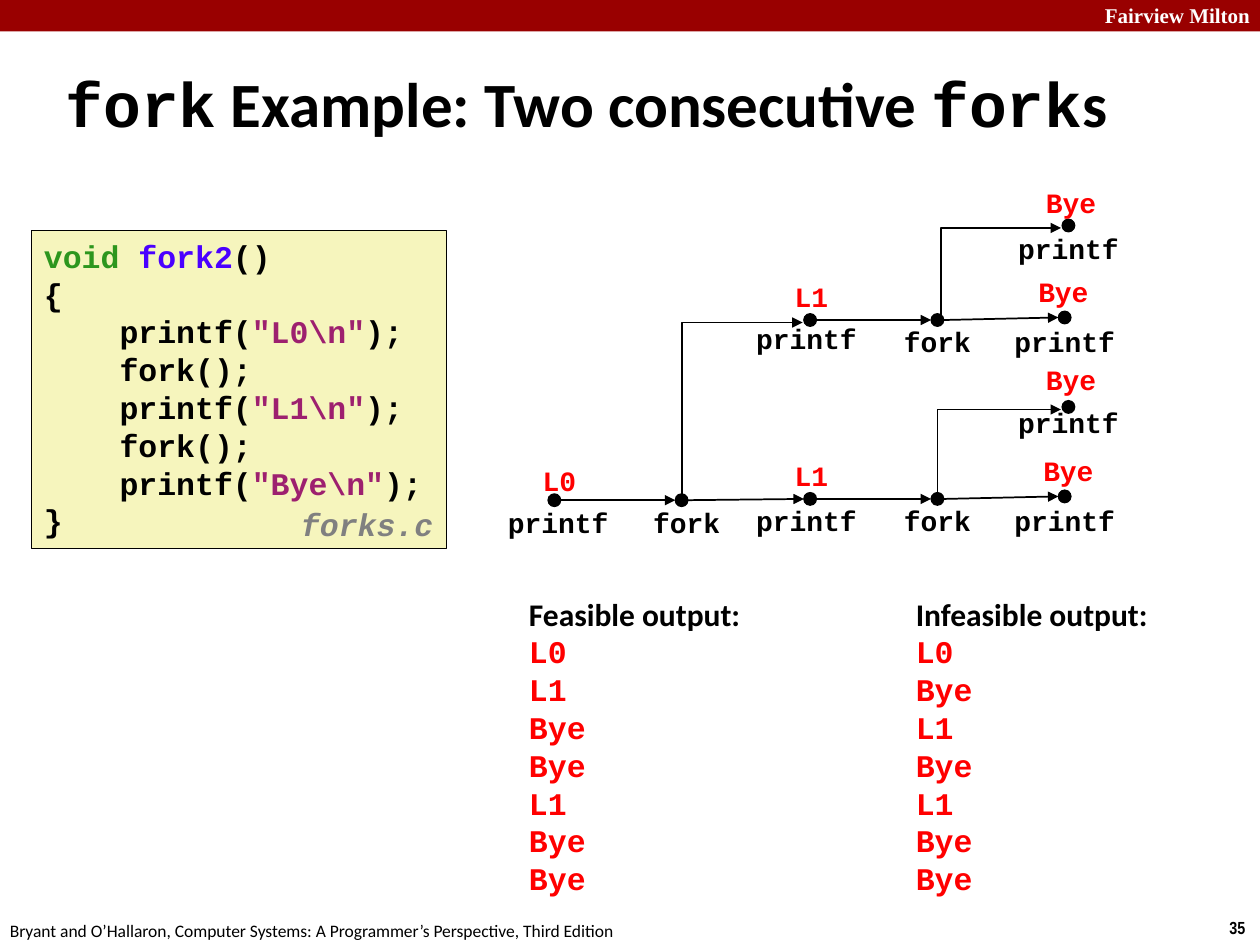
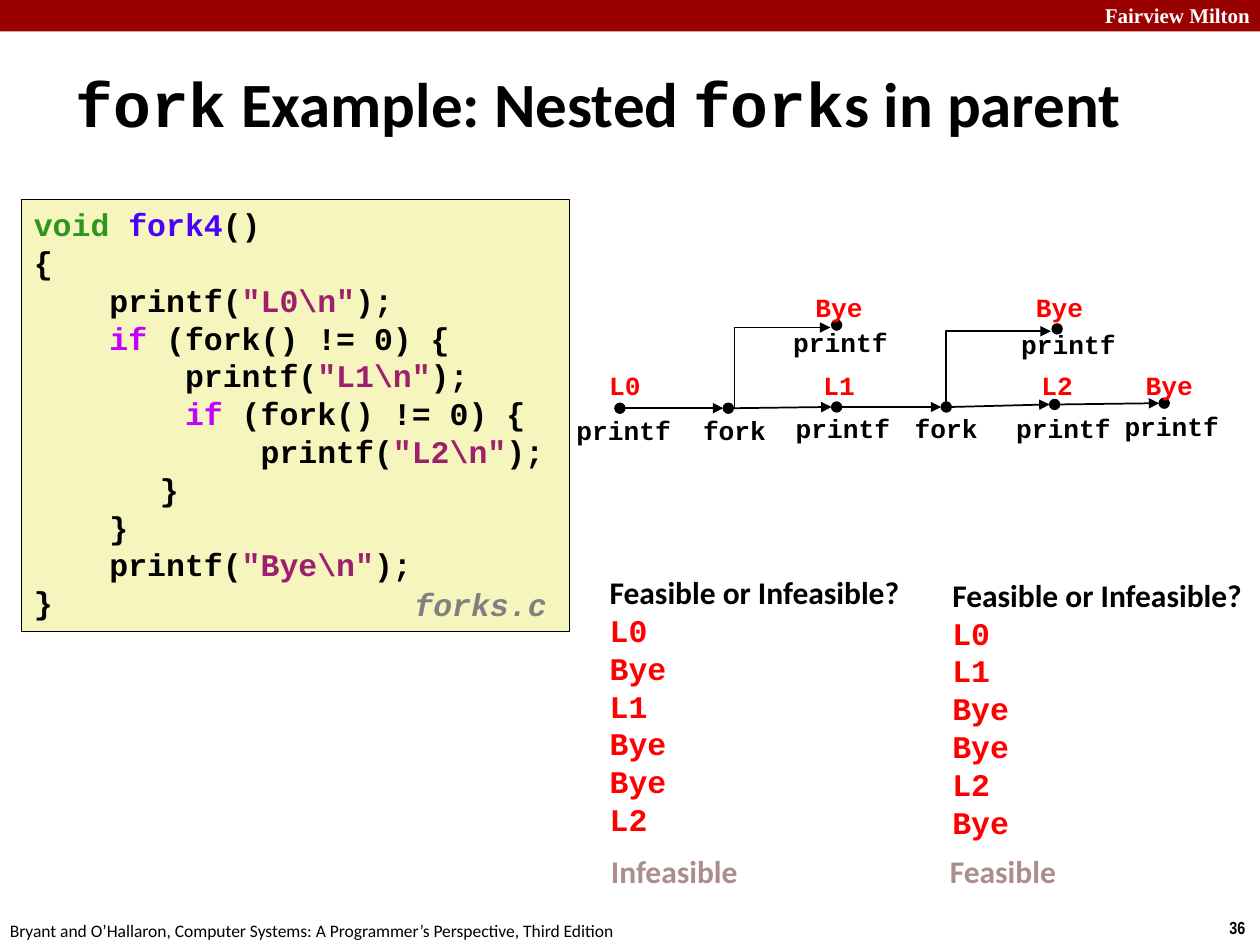
import dataclasses
import typing

import lxml.etree
import pptx
import pptx.dml.color
import pptx.enum.shapes
import pptx.enum.text
import pptx.oxml.ns
import pptx.util

Inches = pptx.util.Inches
Pt = pptx.util.Pt
qn = pptx.oxml.ns.qn
ALIGN = pptx.enum.text.PP_ALIGN
SHAPE = pptx.enum.shapes.MSO_SHAPE
CONNECTOR = pptx.enum.shapes.MSO_CONNECTOR


@dataclasses.dataclass(frozen=True)
class Theme:
    black: str = "000000"
    white: str = "FFFFFF"
    band: str = "990000"
    code_fill: str = "F6F5BD"
    type_name: str = "2D961E"
    function: str = "4A00FF"
    keyword: str = "C200FF"
    string: str = "9D206F"
    output: str = "FF0000"
    answer: str = "AB8D8D"
    file_name: str = "808080"
    body: str = "Calibri"
    mono: str = "Courier New"
    serif: str = "Times New Roman"
    narrow: str = "Arial Narrow"
    title_size: float = 36
    text_size: float = 18
    band_size: float = 12
    footer_size: float = 10


THEME = Theme()
CHARACTER = 0.15
LABEL_WIDTH = 1.1


@dataclasses.dataclass(frozen=True)
class Span:
    text: str
    color: str = THEME.black
    font: str = THEME.mono
    size: float = THEME.text_size
    bold: bool = True
    italic: bool = False


@dataclasses.dataclass(frozen=True)
class Line:
    spans: tuple[Span, ...]
    indent: float = 0


@dataclasses.dataclass(frozen=True)
class Box:
    left: float
    top: float
    width: float
    height: float

    def lengths(self) -> tuple[int, ...]:
        return tuple(Inches(value) for value in dataclasses.astuple(self))


class Label(typing.NamedTuple):
    text: str
    center: float
    top: float


class Event(typing.NamedTuple):
    x: float
    y: float
    call: Label
    output: typing.Optional[Label] = None


class Branch(typing.NamedTuple):
    fork: int
    child: int
    x: float


@dataclasses.dataclass(frozen=True)
class Graph:
    events: tuple[Event, ...]
    steps: tuple[tuple[int, int], ...]
    branches: tuple[Branch, ...]
    dot: float
    size: float


@dataclasses.dataclass(frozen=True)
class Column:
    box: Box
    heading: str
    outputs: str


@dataclasses.dataclass(frozen=True)
class Content:
    number: str
    title_box: Box
    title: tuple[Span, ...]
    code_box: Box
    code: tuple[Line, ...]
    file_box: Box
    graph: Graph
    columns: tuple[Column, ...]
    answers: tuple[tuple[str, Box], ...] = ()


def rgb(color: str) -> pptx.dml.color.RGBColor:
    return pptx.dml.color.RGBColor.from_string(color)


def write(frame, lines: typing.Iterable[Line], align=ALIGN.LEFT, wrap: bool = True) -> None:
    frame.word_wrap = wrap
    frame.auto_size = pptx.enum.text.MSO_AUTO_SIZE.NONE
    for index, line in enumerate(lines):
        para = frame.add_paragraph() if index else frame.paragraphs[0]
        para.alignment = align
        if line.indent:
            para._p.get_or_add_pPr().set("marL", str(Inches(line.indent)))
        for span in line.spans:
            run = para.add_run()
            run.text = span.text
            run.font.name = span.font
            run.font.size = Pt(span.size)
            run.font.bold = span.bold
            run.font.italic = span.italic
            run.font.color.rgb = rgb(span.color)


def add_text(shapes, box: Box, lines: typing.Iterable[Line], align=ALIGN.LEFT, wrap: bool = True):
    frame = shapes.add_textbox(*box.lengths()).text_frame
    write(frame, lines, align, wrap)
    return frame


def add_filled(shapes, kind, box: Box, fill: str, line_width: float = 0):
    shape = shapes.add_shape(kind, *box.lengths())
    shape.shadow.inherit = False
    shape.fill.solid()
    shape.fill.fore_color.rgb = rgb(fill)
    if line_width:
        shape.line.color.rgb = rgb(THEME.black)
        shape.line.width = Pt(line_width)
    else:
        shape.line.fill.background()
    return shape


def add_arrow(shapes, x1: float, y1: float, x2: float, y2: float, bent: bool = False) -> None:
    kind = CONNECTOR.ELBOW if bent else CONNECTOR.STRAIGHT
    arrow = shapes.add_connector(kind, *(Inches(value) for value in (x1, y1, x2, y2)))
    arrow.line.color.rgb = rgb(THEME.black)
    arrow.line.width = Pt(1)
    properties = arrow._element.spPr
    if bent:
        run, rise = x2 - x1, y1 - y2
        turned = Box((x1 + x2 - rise) / 2, (y1 + y2 - run) / 2, rise, run)
        arrow.left, arrow.top, arrow.width, arrow.height = turned.lengths()
        for name, value in (("rot", "5400000"), ("flipH", "1"), ("flipV", "1")):
            properties.find(qn("a:xfrm")).set(name, value)
        properties.find(qn("a:prstGeom")).set("prst", "bentConnector2")
    lxml.etree.SubElement(properties.find(qn("a:ln")), qn("a:tailEnd"), type="triangle")
    lxml.etree.SubElement(properties, qn("a:effectLst"))


def add_graph(page, graph: Graph) -> None:
    shapes = page.shapes.add_group_shape().shapes
    radius = graph.dot / 2
    for start, end in graph.steps:
        first, second = graph.events[start], graph.events[end]
        add_arrow(shapes, first.x + radius, first.y, second.x - radius, second.y)
    for branch in graph.branches:
        fork, child = graph.events[branch.fork], graph.events[branch.child]
        add_arrow(shapes, branch.x, fork.y, child.x - radius - 0.01, child.y + 0.02, bent=True)
    for event in graph.events:
        dot = Box(event.x - radius, event.y - radius, graph.dot, graph.dot)
        add_filled(shapes, SHAPE.OVAL, dot, THEME.black, 0.75)
        for label, color in ((event.call, THEME.black), (event.output, THEME.output)):
            if label:
                box = Box(label.center - LABEL_WIDTH / 2, label.top, LABEL_WIDTH, 0.37)
                span = Span(label.text, color, size=graph.size)
                add_text(shapes, box, [Line((span,))], ALIGN.CENTER, wrap=False)


def add_frame(page, number: str) -> None:
    add_filled(page.shapes, SHAPE.RECTANGLE, Box(0, 0, 10, 0.25), THEME.band)
    school = Span("Fairview Milton", THEME.white, THEME.serif, THEME.band_size)
    add_text(page.shapes, Box(8.64, -0.03, 1.38, 0.3), [Line((school,))], ALIGN.RIGHT, wrap=False)
    count = Span(number, font=THEME.narrow, size=THEME.footer_size)
    add_text(page.shapes, Box(9.66, 7.23, 0.34, 0.27), [Line((count,))], wrap=False)
    book = Span("Bryant and O’Hallaron, Computer Systems: A Programmer’s Perspective, Third Edition",
                font=THEME.body, size=THEME.footer_size, bold=False)
    add_text(page.shapes, Box(-0.02, 7.25, 5.08, 0.27), [Line((book,))], wrap=False)


def add_page(deck, content: Content) -> None:
    page = deck.slides.add_slide(deck.slide_layouts.get_by_name("Title Only"))
    add_frame(page, content.number)
    title = page.shapes.title
    title.left, title.top, title.width, title.height = content.title_box.lengths()
    write(title.text_frame, [Line(content.title)])
    title.text_frame.vertical_anchor = pptx.enum.text.MSO_ANCHOR.MIDDLE
    panel = add_filled(page.shapes, SHAPE.RECTANGLE, content.code_box, THEME.code_fill, 0.25)
    write(panel.text_frame, content.code)
    panel.text_frame.vertical_anchor = pptx.enum.text.MSO_ANCHOR.TOP
    add_graph(page, content.graph)
    for column in content.columns:
        outputs = [Line((Span(word, THEME.output),)) for word in column.outputs.split()]
        heading = Line((Span(column.heading, font=THEME.body),))
        add_text(page.shapes, column.box, [heading, *outputs])
    file_name = Span("forks.c", THEME.file_name, italic=True)
    frame = add_text(page.shapes, content.file_box, [Line((file_name,))])
    frame.paragraphs[0].line_spacing = 0.94
    for answer, box in content.answers:
        add_text(page.shapes, box, [Line((Span(answer, THEME.answer, THEME.body),))])


def title_spans(*texts: str) -> tuple[Span, ...]:
    fonts = (THEME.mono, THEME.body) * 2
    return tuple(Span(text, font=font, size=THEME.title_size) for text, font in zip(texts, fonts))


def plain(text: str, characters: int = 0) -> Line:
    return Line((Span(text),), characters * CHARACTER)


def header(name: str) -> Line:
    return Line((Span("void ", THEME.type_name), Span(name, THEME.function), Span("()")))


def print_call(word: str, characters: int = 4) -> Line:
    literal = Span(f'"{word}\\n"', THEME.string)
    return Line((Span("printf("), literal, Span(");")), characters * CHARACTER)


def fork_test(characters: int) -> Line:
    return Line((Span("if", THEME.keyword), Span(" (fork() != 0) {")), characters * CHARACTER)


CONSECUTIVE = Content(
    "35", Box(0.42, 0.5, 9.33, 0.63),
    title_spans("fork", " Example: Two consecutive ", "fork", "s"),
    Box(0.25, 1.83, 3.29, 2.52),
    (header("fork2"), plain("{"), print_call("L0"), plain("fork();", 4), print_call("L1"),
     plain("fork();", 4), print_call("Bye"), plain("}")),
    Box(2.29, 3.98, 1.32, 0.39),
    Graph(
        (Event(4.4, 3.97, Label("printf", 4.43, 3.96), Label("L0", 4.44, 3.63)),
         Event(5.41, 3.97, Label("fork", 5.45, 3.96)),
         Event(6.43, 3.96, Label("printf", 6.4, 3.95), Label("L1", 6.44, 3.59)),
         Event(7.44, 3.96, Label("fork", 7.44, 3.95)),
         Event(8.45, 3.94, Label("printf", 8.45, 3.95), Label("Bye", 8.48, 3.55)),
         Event(8.48, 3.23, Label("printf", 8.48, 3.17), Label("Bye", 8.5, 2.83)),
         Event(6.43, 2.54, Label("printf", 6.4, 2.5), Label("L1", 6.44, 2.17)),
         Event(7.44, 2.54, Label("fork", 7.44, 2.53)),
         Event(8.45, 2.52, Label("printf", 8.45, 2.53), Label("Bye", 8.44, 2.13)),
         Event(8.48, 1.79, Label("printf", 8.48, 1.79), Label("Bye", 8.5, 1.42))),
        ((0, 1), (1, 2), (2, 3), (3, 4), (6, 7), (7, 8)),
        (Branch(1, 6, 5.41), Branch(3, 5, 7.44), Branch(7, 9, 7.47)), 0.1, 16),
    (Column(Box(4.1, 4.67, 1.9, 2.52), "Feasible output:", "L0 L1 Bye Bye L1 Bye Bye"),
     Column(Box(7.17, 4.67, 2.07, 2.52), "Infeasible output:", "L0 Bye L1 Bye L1 Bye Bye")),
)

NESTED = Content(
    "36", Box(0.5, 0.5, 8.78, 0.63),
    title_spans("fork", " Example: Nested ", "fork", "s in parent"),
    Box(0.17, 1.58, 4.35, 3.43),
    (header("fork4"), plain("{"), print_call("L0"), fork_test(4), print_call("L1", 8),
     fork_test(8), print_call("L2", 12), Line((Span("}"),), 1), plain("}", 4),
     print_call("Bye"), plain("}")),
    Box(3.19, 4.62, 1.32, 0.39),
    Graph(
        (Event(4.92, 3.24, Label("printf", 4.95, 3.24), Label("L0", 4.96, 2.88)),
         Event(5.78, 3.24, Label("fork", 5.83, 3.24)),
         Event(6.64, 3.23, Label("printf", 6.69, 3.22), Label("L1", 6.66, 2.88)),
         Event(7.51, 3.23, Label("fork", 7.51, 3.22)),
         Event(8.37, 3.21, Label("printf", 8.44, 3.22), Label("L2", 8.39, 2.88)),
         Event(9.24, 3.2, Label("printf", 9.3, 3.21), Label("Bye", 9.28, 2.88)),
         Event(6.64, 2.58, Label("printf", 6.67, 2.54), Label("Bye", 6.66, 2.26)),
         Event(8.39, 2.61, Label("printf", 8.48, 2.56), Label("Bye", 8.41, 2.26))),
        ((0, 1), (1, 2), (2, 3), (3, 4), (4, 5)),
        (Branch(1, 6, 5.83), Branch(3, 7, 7.51)), 0.08, 15),
    (Column(Box(7.46, 4.52, 2.54, 2.22), "Feasible or Infeasible?", "L0 L1 Bye Bye L2 Bye"),
     Column(Box(4.74, 4.5, 2.52, 2.22), "Feasible or Infeasible?", "L0 Bye L1 Bye Bye L2")),
    (("Infeasible", Box(4.75, 6.71, 1.21, 0.4)), ("Feasible", Box(7.44, 6.71, 1.05, 0.4))),
)


def main() -> None:
    deck = pptx.Presentation()
    deck.slide_width, deck.slide_height = Inches(10), Inches(7.5)
    for content in (CONSECUTIVE, NESTED):
        add_page(deck, content)
    deck.save("out.pptx")


if __name__ == "__main__":
    main()
